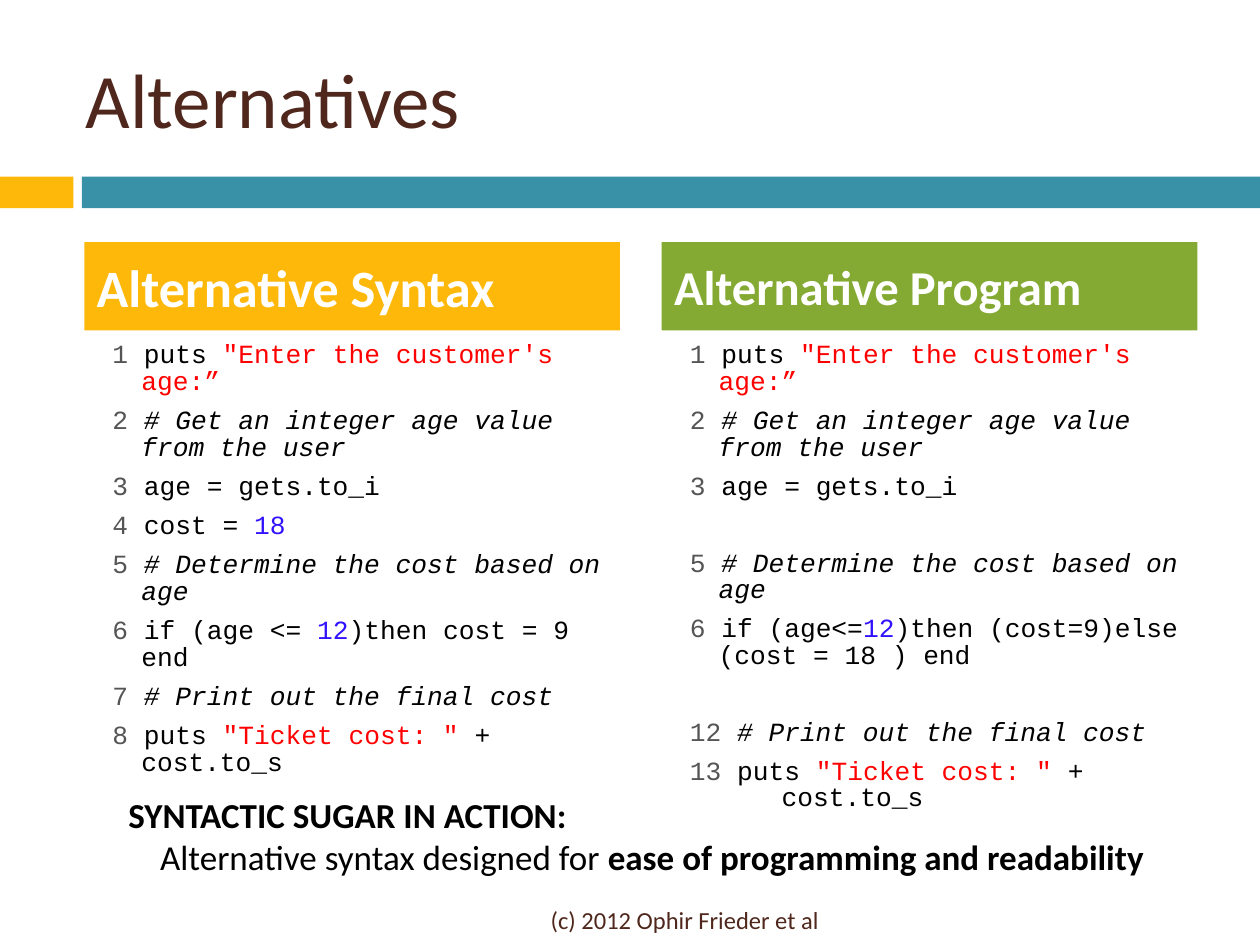
from dataclasses import dataclass

from pptx import Presentation
from pptx.dml.color import RGBColor as RGB
from pptx.enum.shapes import MSO_SHAPE as Shape
from pptx.enum.text import MSO_ANCHOR as Anchor, PP_ALIGN as Align
from pptx.util import Cm, Pt


@dataclass(frozen=True)
class Theme:
    gold: str = "FEB80A"
    teal: str = "3891A7"
    green: str = "84AA33"
    brown: str = "4F271C"
    white: str = "FFFFFF"
    black: str = "000000"
    gray: str = "555555"
    red: str = "FF0000"
    blue: str = "3012FF"
    sans: str = "Calibri"
    mono: str = "Courier New"
    title: float = 44
    head: float = 30
    head_small: float = 27.8
    note: float = 20
    foot: float = 14
    code: float = 15


theme = Theme()


def style(run, size, color, face=theme.sans, bold=False, italic=False):
    font = run.font
    font.name, font.size = face, Pt(size)
    font.bold, font.italic = bold, italic
    font.color.rgb = RGB.from_string(color)


def place(box, fill=None, text="", size=0, color=theme.black, bold=False):
    """Fill a shape or text box and give it one left-aligned paragraph."""
    if fill:
        box.shadow.inherit = False
        box.fill.solid()
        box.fill.fore_color.rgb = RGB.from_string(fill)
        box.line.fill.background()
    frame = box.text_frame
    frame.word_wrap = True
    if text:
        frame.vertical_anchor = Anchor.MIDDLE
        frame.text = text
        para = frame.paragraphs[0]
        para.alignment = Align.LEFT
        style(para.runs[0], size, color, bold=bold)
    return frame


deck = Presentation()
deck.slide_width, deck.slide_height = Cm(25.4), Cm(19.05)
slide = deck.slides.add_slide(deck.slide_layouts[6])
shapes = slide.shapes

# Band under the title
for left, width, fill in ((0, 1.48, theme.gold), (1.65, 23.75, theme.teal)):
    place(shapes.add_shape(Shape.RECTANGLE, Cm(left), Cm(3.56), Cm(width), Cm(0.64)), fill)

title = shapes.add_textbox(Cm(1.48), Cm(0.76), Cm(22.66), Cm(2.41))
place(title, None, "Alternatives", theme.title, theme.brown)

# Code rows: number, space before in points, pieces of (kind, text)
looks = {
    "num": (theme.gray, False),
    "code": (theme.black, False),
    "note": (theme.black, True),
    "str": (theme.red, False),
    "int": (theme.blue, False),
}
gap = 7
skip = 28.4  # gap plus one empty row
start = [
    ("1", 0, [("code", "puts "), ("str", '"Enter the customer\'s age:”')]),
    ("2", gap, [("note", "# Get an integer age value from the user")]),
    ("3", gap, [("code", "age = gets.to_i")]),
]
based = [("note", "# Determine the cost based on age")]
final = [("note", "# Print out the final cost")]
ticket = [("code", "puts "), ("str", '"Ticket cost: "')]
syntax = start + [
    ("4", gap, [("code", "cost = "), ("int", "18")]),
    ("5", gap, based),
    ("6", gap, [("code", "if (age <= "), ("int", "12"), ("code", ")then cost = 9 end")]),
    ("7", gap, final),
    ("8", gap, ticket + [("code", " + cost.to_s")]),
]
program = start + [
    ("5", skip, based),
    ("6", gap, [("code", "if (age<="), ("int", "12"),
                ("code", ")then (cost=9)else (cost = 18 ) end")]),
    ("12", skip, final),
    ("13", gap, ticket + [("code", " +")]),
    (None, 0, [("code", "    cost.to_s")]),
]

columns = (
    (1.7, "Alternative Syntax", theme.head, theme.gold, syntax),
    (13.34, "Alternative Program", theme.head_small, theme.green, program),
)
wide = Cm(10.8)
for left, head, size, fill, rows in columns:
    frame = place(shapes.add_textbox(Cm(left), Cm(6.78), wide, Cm(9.96)))
    for i, (num, before, parts) in enumerate(rows):
        para = frame.add_paragraph() if i else frame.paragraphs[0]
        para.line_spacing = 0.85
        para.space_before = Pt(before)
        props = para._p.get_or_add_pPr()
        props.set("marL", str(Cm(0.9)))
        props.set("indent", str(Cm(-0.9) if num else 0))
        label = [("num", f" {num} ")] if num else []
        for kind, text in label + parts:
            run = para.add_run()
            run.text = text
            color, italic = looks[kind]
            style(run, theme.code, color, theme.mono, italic=italic)
    bar = shapes.add_shape(Shape.RECTANGLE, Cm(left), Cm(4.88), wide, Cm(1.78))
    place(bar, fill, head, size, theme.white, True)

# Closing remark
frame = place(shapes.add_textbox(Cm(2.34), Cm(15.88), Cm(21.59), Cm(2.79)))
frame.text = "SYNTACTIC SUGAR IN ACTION:"
style(frame.paragraphs[0].runs[0], theme.note, theme.black, bold=True)
para = frame.add_paragraph()
para._p.get_or_add_pPr().set("marL", str(Cm(0.64)))
for text, bold in (("Alternative syntax designed for ", False),
                   ("ease of programming and readability", True)):
    run = para.add_run()
    run.text = text
    style(run, theme.note, theme.black, bold=bold)

foot = shapes.add_textbox(Cm(1.7), Cm(18.03), Cm(15.06), Cm(1.02))
frame = place(foot, None, "(c) 2012 Ophir Frieder et al", theme.foot, theme.brown)
frame.paragraphs[0].alignment = Align.RIGHT

deck.save("out.pptx")
